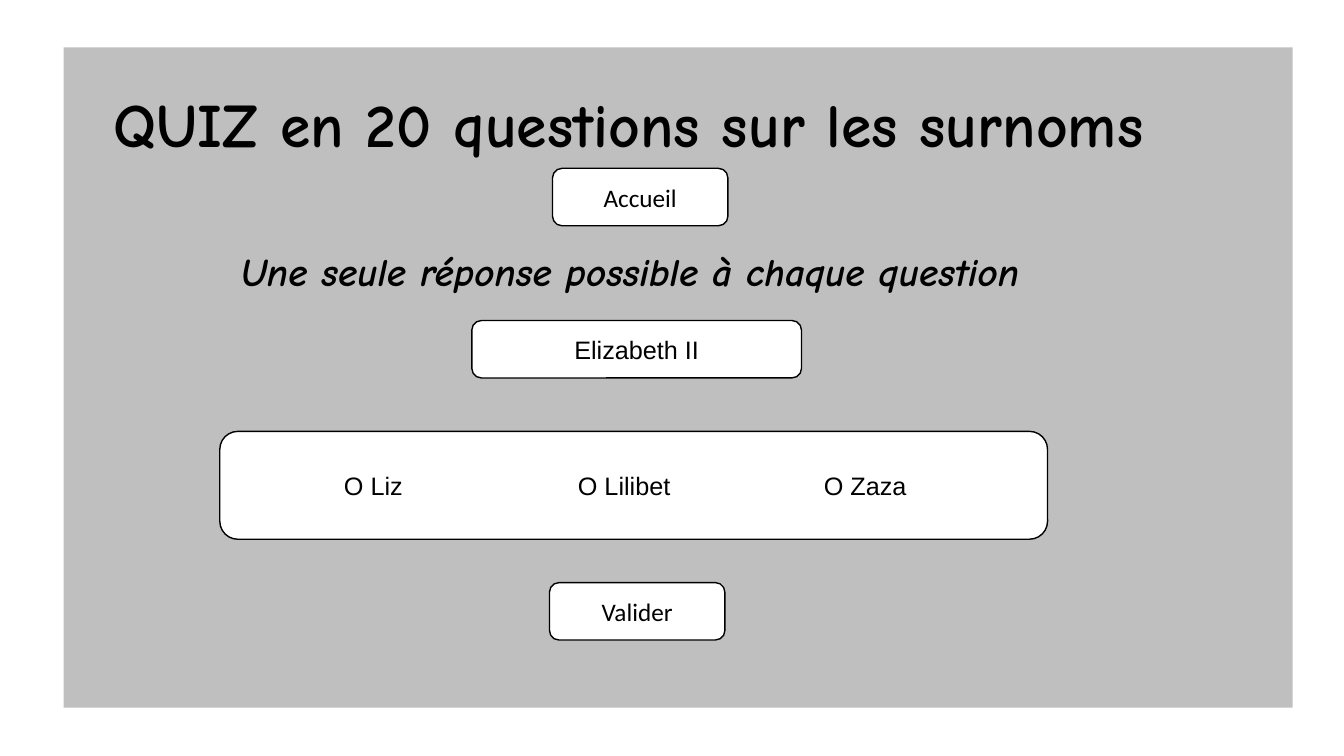
from lxml.etree import SubElement
from pptx import Presentation
from pptx.dml.color import RGBColor
from pptx.enum.shapes import MSO_SHAPE
from pptx.enum.text import MSO_ANCHOR, PP_ALIGN
from pptx.oxml.ns import qn
from pptx.util import Inches, Pt


def color(value):
    return RGBColor.from_string(value)


def set_font(p, name, size, bold=False, italic=False):
    p.font.name = name
    p.font.size = Pt(size)
    p.font.bold = bold
    p.font.italic = italic
    p.font.color.rgb = color("000000")


def add_panel(slide, left, top, width, height):
    sp = slide.shapes.add_shape(
        MSO_SHAPE.RECTANGLE, Inches(left), Inches(top), Inches(width), Inches(height))
    sp.shadow.inherit = False
    sp.fill.solid()
    sp.fill.fore_color.rgb = color("BFBFBF")
    sp.line.fill.background()


def add_heading(slide, text, left, top, width, height, size, italic=False):
    sp = slide.shapes.add_textbox(
        Inches(left), Inches(top), Inches(width), Inches(height))
    tf = sp.text_frame
    tf.word_wrap = True
    p = tf.paragraphs[0]
    p.text = text
    set_font(p, "Comic Neue", size, bold=True, italic=italic)


def add_button(slide, left, top, width, height):
    sp = slide.shapes.add_shape(
        MSO_SHAPE.ROUNDED_RECTANGLE,
        Inches(left), Inches(top), Inches(width), Inches(height))
    sp.shadow.inherit = False
    sp.fill.solid()
    sp.fill.fore_color.rgb = color("FFFFFF")
    sp.line.color.rgb = color("000000")
    sp.line.width = Pt(1)
    sp.text_frame.word_wrap = True
    sp.text_frame.vertical_anchor = MSO_ANCHOR.MIDDLE
    return sp.text_frame


def add_label(slide, text, font, *box):
    p = add_button(slide, *box).paragraphs[0]
    p.text = text
    p.alignment = PP_ALIGN.CENTER
    set_font(p, font, 18)


def add_answers(slide, answers, indent, stops, *box):
    tf = add_button(slide, *box)
    tf.margin_left = Inches(indent)
    p = tf.paragraphs[0]
    p.text = "\t".join(f"O {answer}" for answer in answers)
    p.alignment = PP_ALIGN.LEFT
    tabs = SubElement(p._p.get_or_add_pPr(), qn("a:tabLst"))
    for stop in stops:
        SubElement(tabs, qn("a:tab"), pos=str(Inches(stop)), algn="l")
    set_font(p, "Arial", 18)


def build_quiz(prs):
    slide = prs.slides.add_slide(prs.slide_layouts[6])
    add_panel(slide, 0.63, 0.47, 12.19, 6.55)
    add_heading(slide, "QUIZ en 20 questions sur les surnoms",
                1.03, 0.8, 11.67, 0.84, 44)
    add_heading(slide, "Une seule réponse possible à chaque question",
                2.29, 2.4, 8.95, 0.57, 28, italic=True)
    add_label(slide, "Accueil", "Calibri", 5.48, 1.67, 1.74, 0.57)
    add_label(slide, "Elizabeth II", "Arial", 4.68, 3.18, 3.27, 0.57)
    add_answers(slide, ["Liz", "Lilibet", "Zaza"], 1.18, [2.32, 4.76],
                2.18, 4.28, 8.21, 1.07)
    add_label(slide, "Valider", "Calibri", 5.45, 5.78, 1.74, 0.57)


def main():
    prs = Presentation()
    prs.slide_width = Inches(13.33)
    prs.slide_height = Inches(7.5)
    build_quiz(prs)
    prs.save("out.pptx")


if __name__ == "__main__":
    main()
